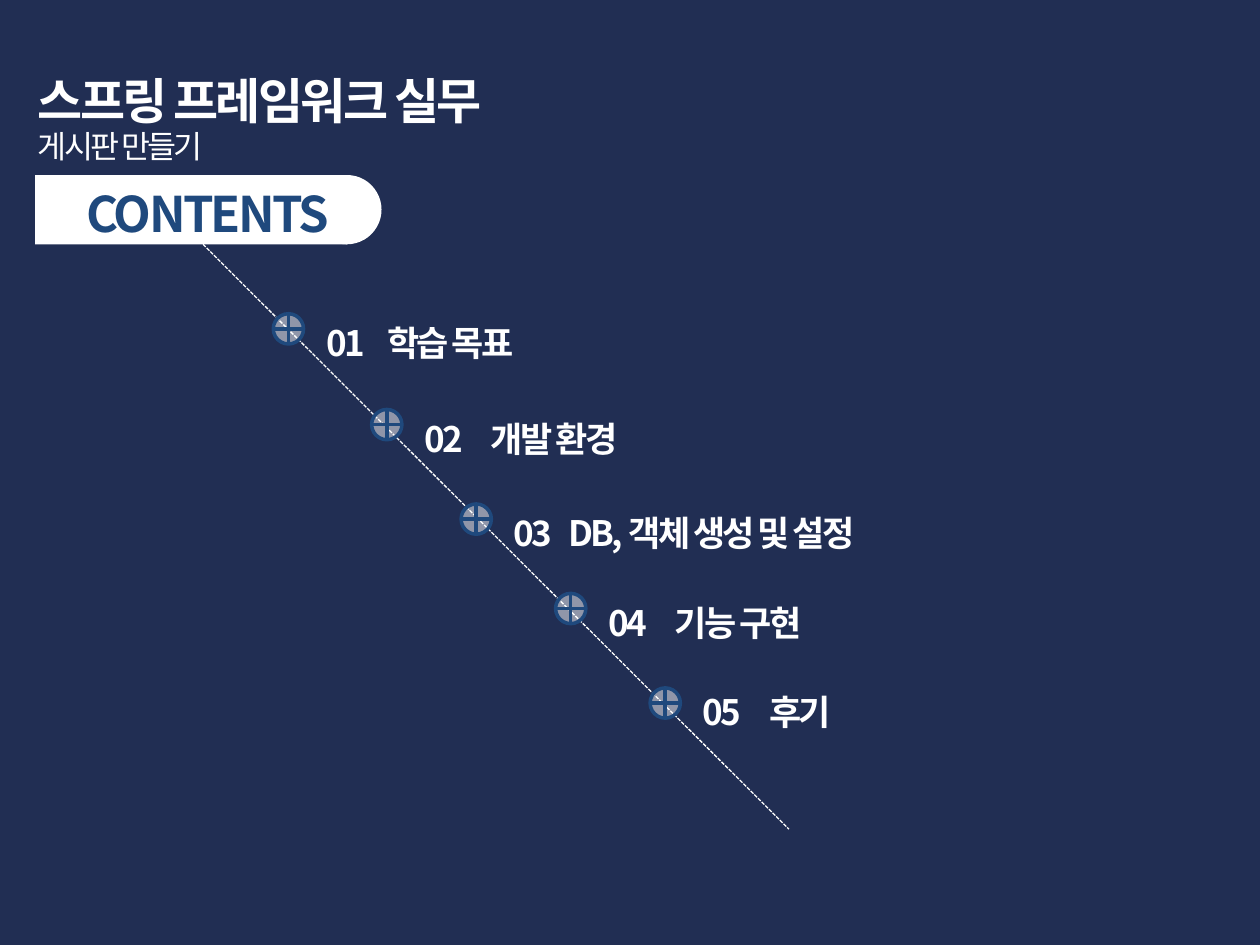
import pptx
import pptx.util
import pptx.dml.color
import pptx.enum.dml
import pptx.enum.shapes
import pptx.enum.text
import pptx.oxml.ns
import lxml.etree

Pt = pptx.util.Pt
Shape = pptx.enum.shapes.MSO_SHAPE
qn = pptx.oxml.ns.qn
NAVY = pptx.dml.color.RGBColor(0x21, 0x2E, 0x53)
BLUE = pptx.dml.color.RGBColor(0x1F, 0x49, 0x7D)
WHITE = pptx.dml.color.RGBColor(0xFF, 0xFF, 0xFF)
FONT = "Noto Sans CJK KR"
DOT_SIZE = 17.3
TOPICS = [
    ("01", "학습 목표", 156.2, 179.3, 0, 35),
    ("02", "개발 환경", 212.4, 234, 0, 38),
    ("03", "DB, 객체 생성 및 설정", 263.5, 288, 0, 31),
    ("04", "기능 구현", 317.5, 339.1, 0, 38),
    ("05", "후기", 371.5, 393.1, -3, 38),
]


def place(shape, left, top, width, height):
    """Set the box of a shape."""
    shape.left, shape.top = Pt(left), Pt(top)
    shape.width, shape.height = Pt(width), Pt(height)


def format_paragraph(paragraph, size, line_height, color, bold=True):
    """Give a paragraph the tight type style of the slide."""
    paragraph.alignment = pptx.enum.text.PP_ALIGN.LEFT
    paragraph.line_spacing = Pt(line_height)
    paragraph.space_before = Pt(0)
    for run in paragraph.runs:
        run.font.name = FONT
        run.font.size = Pt(size)
        run.font.bold = bold
        run.font.color.rgb = color
        properties = run.font._element
        properties.set("spc", "-150")
        east_asian = lxml.etree.SubElement(properties, qn("a:ea"))
        east_asian.set("typeface", FONT)


def format_frame(text_frame):
    """Wrap text from the top of its box."""
    text_frame.word_wrap = True
    text_frame.auto_size = pptx.enum.text.MSO_AUTO_SIZE.NONE
    text_frame.vertical_anchor = pptx.enum.text.MSO_ANCHOR.TOP


def add_label(slide, text, left, top, width, height, size, line_height, color):
    """Add a one-line text box."""
    label = slide.shapes.add_textbox(Pt(left), Pt(top), Pt(width), Pt(height))
    format_frame(label.text_frame)
    label.text_frame.text = text
    paragraph = label.text_frame.paragraphs[0]
    format_paragraph(paragraph, size, line_height, color)
    return paragraph


def add_heading(slide, left, top, width, height):
    """Fill the title with the course name and its subject."""
    title = slide.shapes.title
    place(title, left, top, width, height)
    format_frame(title.text_frame)
    title.text_frame.text = "스프링 프레임워크 실무\n게시판 만들기"
    course, subject = title.text_frame.paragraphs
    format_paragraph(course, 28, 35, WHITE)
    format_paragraph(subject, 18, 20, WHITE, bold=False)


def add_banner(slide, left, top, width, height):
    """Add the white contents banner with its round end."""
    banner = slide.shapes.add_group_shape()
    parts = [
        (Shape.RECTANGLE, left, width - height / 2),
        (Shape.OVAL, left + width - height, height),
    ]
    for kind, part_left, part_width in parts:
        part = banner.shapes.add_shape(
            kind, Pt(part_left), Pt(top), Pt(part_width), Pt(height))
        part.shadow.inherit = False
        part.fill.solid()
        part.fill.fore_color.rgb = WHITE
        part.line.fill.background()
    add_label(slide, "CONTENTS", left + 22.3, top, 181.4, 41, 28, 35, BLUE)


def add_path_line(slide, left, top, width, height):
    """Add the dashed diagonal that joins the topics."""
    line = slide.shapes.add_connector(
        pptx.enum.shapes.MSO_CONNECTOR.STRAIGHT,
        Pt(left), Pt(top), Pt(left + width), Pt(top + height))
    line.line.color.rgb = WHITE
    line.line.width = Pt(0.75)
    line.line.dash_style = pptx.enum.dml.MSO_LINE.SQUARE_DOT
    lxml.etree.SubElement(line._element.spPr, qn("a:effectLst"))


def add_topic(slide, number, name, left, top, label_shift, tab):
    """Add a topic marker with its number and name."""
    dot = slide.shapes.add_shape(
        Shape.FLOWCHART_OR, Pt(left), Pt(top), Pt(DOT_SIZE), Pt(DOT_SIZE))
    dot.shadow.inherit = False
    dot.fill.solid()
    dot.fill.fore_color.rgb = WHITE
    color = dot._element.spPr.find(qn("a:solidFill"))[0]
    lxml.etree.SubElement(color, qn("a:alpha")).set("val", "50000")
    dot.line.color.rgb = BLUE
    dot.line.width = Pt(2)
    paragraph = add_label(slide, f"{number}\t{name}", left + 23,
                          top + label_shift, 294.5, 31.7, 20, 25, WHITE)
    tabs = lxml.etree.SubElement(
        paragraph._p.get_or_add_pPr(), qn("a:tabLst"))
    stop = lxml.etree.SubElement(tabs, qn("a:tab"))
    stop.set("pos", str(int(Pt(tab))))
    stop.set("algn", "l")


def build_contents(presentation):
    """Build the contents slide."""
    slide = presentation.slides.add_slide(presentation.slide_layouts[5])
    slide.background.fill.solid()
    slide.background.fill.fore_color.rgb = NAVY
    add_heading(slide, 14.4, 35.3, 487.4, 63.4)
    add_banner(slide, 20, 100, 198, 39.6)
    add_path_line(slide, 116, 139.6, 334.8, 334.2)
    for topic in TOPICS:
        add_topic(slide, *topic)


presentation = pptx.Presentation()
presentation.slide_width, presentation.slide_height = Pt(720), Pt(540)
build_contents(presentation)
presentation.save("out.pptx")
